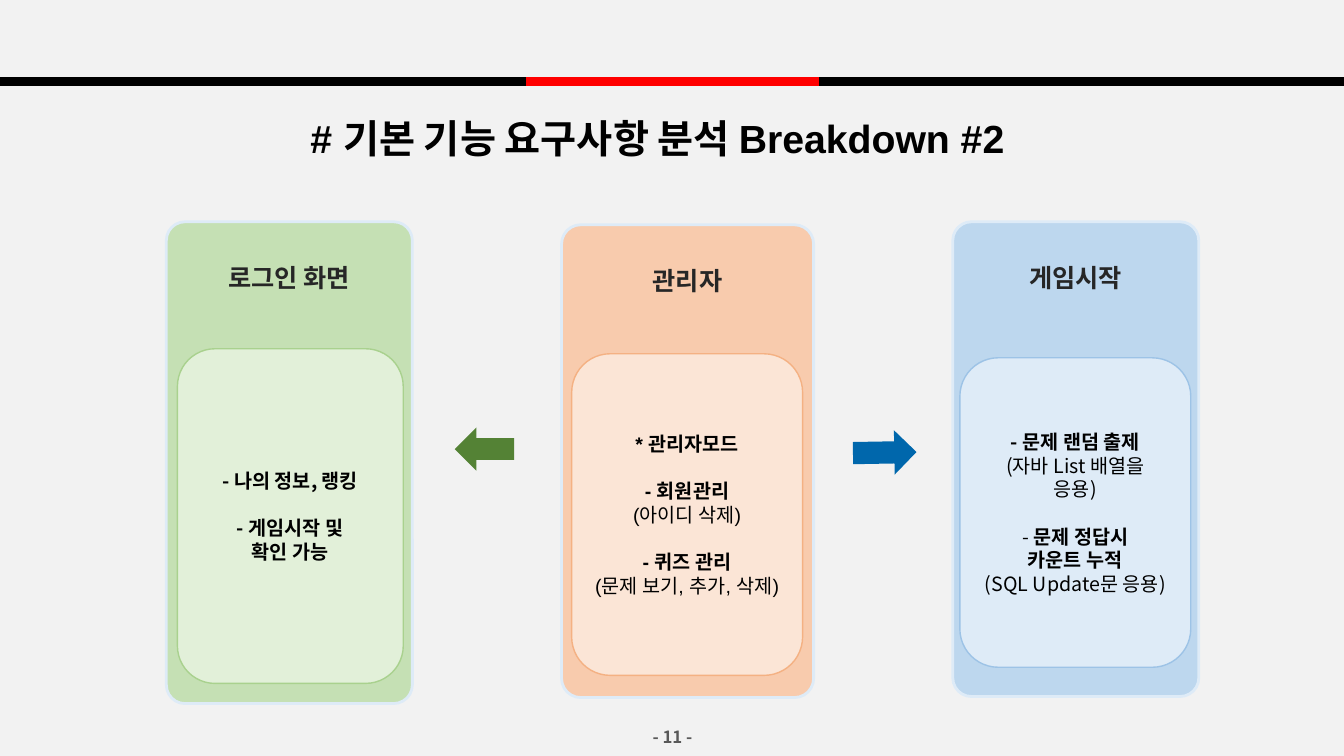
from pptx import Presentation
from pptx.dml.color import RGBColor
from pptx.enum.shapes import MSO_CONNECTOR, MSO_SHAPE
from pptx.enum.text import MSO_ANCHOR, PP_ALIGN
from pptx.oxml.ns import qn
from pptx.util import Inches, Pt

NOTO = "Noto Sans CJK KR"
ARIAL = "Arial"
BLANK_LINE = 17  # points of space between topics in a card


def color(value):
    return RGBColor.from_string(value)


def add_span(para, text, size=14, font=NOTO, ink="000000", bold=False):
    """Append formatted text; Hangul always uses the Korean font."""
    span = para.add_run()
    span.text = text
    span.font.size = Pt(size)
    span.font.name = font
    span.font.bold = bold
    span.font.color.rgb = color(ink)
    properties = span._r.get_or_add_rPr()
    east_asian = properties.makeelement(qn("a:ea"), {"typeface": NOTO})
    properties.find(qn("a:latin")).addnext(east_asian)


class SlideBuilder:
    PANEL_EDGE = "DEEBF7"
    HEADING_INK = "262626"

    def __init__(self, page):
        self.page = page
        fill = page.background.fill
        fill.solid()
        fill.fore_color.rgb = color("F2F2F2")

    def rule(self, left, right, ink):
        line = self.page.shapes.add_connector(
            MSO_CONNECTOR.STRAIGHT, Inches(left), Inches(0.81), Inches(right), Inches(0.81))
        line.line.color.rgb = color(ink)
        line.line.width = Pt(6)
        properties = line._element.spPr
        properties.append(properties.makeelement(qn("a:effectLst"), {}))

    def label(self, area, text, spacing=1.0, wrap=True, **style):
        box = self.page.shapes.add_textbox(*map(Inches, area))
        frame = box.text_frame
        frame.word_wrap = wrap
        frame.vertical_anchor = MSO_ANCHOR.MIDDLE
        if not wrap:
            frame.margin_left = frame.margin_right = 0
        para = frame.paragraphs[0]
        para.alignment = PP_ALIGN.CENTER
        para.line_spacing = spacing
        add_span(para, text, bold=True, **style)

    def shape(self, kind, area, fill, edge=None, width=1):
        box = self.page.shapes.add_shape(kind, *map(Inches, area))
        box.shadow.inherit = False
        box.fill.solid()
        box.fill.fore_color.rgb = color(fill)
        if edge:
            box.line.color.rgb = color(edge)
            box.line.width = Pt(width)
        else:
            box.line.fill.background()
        return box

    def panel(self, area, fill, heading):
        box = self.shape(MSO_SHAPE.ROUNDED_RECTANGLE, area, fill, self.PANEL_EDGE, 2)
        box.adjustments[0] = 0.076
        frame = box.text_frame
        frame.word_wrap = True
        frame.vertical_anchor = MSO_ANCHOR.TOP
        frame.margin_top = Inches(0.35)
        para = frame.paragraphs[0]
        para.alignment = PP_ALIGN.CENTER
        add_span(para, heading, size=18, ink=self.HEADING_INK, bold=True)

    def card(self, area, fill, edge, topics, font):
        """Each topic is a list of lines; each line is a list of (text, bold)."""
        box = self.shape(MSO_SHAPE.ROUNDED_RECTANGLE, area, fill, edge)
        frame = box.text_frame
        frame.word_wrap = True
        frame.vertical_anchor = MSO_ANCHOR.MIDDLE
        para = frame.paragraphs[0]
        for topic_number, topic in enumerate(topics):
            for line_number, line in enumerate(topic):
                if topic_number or line_number:
                    para = frame.add_paragraph()
                if topic_number and not line_number:
                    para.space_before = Pt(BLANK_LINE)
                para.alignment = PP_ALIGN.CENTER
                for text, bold in line:
                    add_span(para, text, font=font, bold=bold)

    def arrow(self, area, fill, rotation):
        self.shape(MSO_SHAPE.RIGHT_ARROW, area, fill).rotation = rotation


def strong(text):
    return [(text, True)]


def plain(text):
    return [(text, False)]


# Panel area, fill and heading; card area, fill, edge, topics and Latin font
COLUMNS = [
    (((1.65, 2.2, 2.44, 4.78), "C5E0B4", "로그인 화면"),
     ((1.76, 3.46, 2.24, 3.32), "E2F0D9", "A9D18E", [
         [strong("- 나의 정보, 랭킹")],
         [strong("- 게임시작 및"), strong("확인 가능")],
     ], NOTO)),
    (((5.57, 2.23, 2.5, 4.69), "F8CBAD", "관리자"),
     ((5.67, 3.51, 2.29, 3.19), "FBE5D6", "F4B183", [
         [strong("* 관리자모드")],
         [strong("- 회원관리"), plain("(아이디 삭제)")],
         [strong("- 퀴즈 관리"), plain("(문제 보기, 추가, 삭제)")],
     ], ARIAL)),
    (((9.45, 2.2, 2.44, 4.71), "BDD7EE", "게임시작"),
     ((9.52, 3.55, 2.29, 3.07), "DEEBF7", "9DC3E6", [
         [strong("- 문제 랜덤 출제"), plain("(자바 List 배열을"), plain("응용)")],
         [plain("- ") + strong("문제 정답시"), strong("카운트 누적"),
          plain("(SQL Update문 응용)")],
     ], NOTO)),
]


def main():
    deck = Presentation()
    deck.slide_width = Inches(13.33)
    deck.slide_height = Inches(7.5)
    builder = SlideBuilder(deck.slides.add_slide(deck.slide_layouts[6]))

    # Header rule, page number and title
    builder.rule(0, 13.33, "000000")
    builder.rule(5.22, 8.12, "FF0000")
    builder.label((6.44, 7.13, 0.46, 0.36), "- 11 -", wrap=False, size=12, ink="595959")
    builder.label((2.66, 1.15, 7.72, 0.5), "# 기본 기능 요구사항 분석 Breakdown #2",
                  spacing=0.9, size=28, font=ARIAL)

    # Feature columns
    for panel, card in COLUMNS:
        builder.panel(*panel)
        builder.card(*card)

    # Arrows from the administrator to both sides
    builder.arrow((8.46, 4.27, 0.63, 0.44), "0067AC", 359)
    builder.arrow((4.51, 4.24, 0.59, 0.43), "548235", 180)

    deck.save("out.pptx")


if __name__ == "__main__":
    main()
